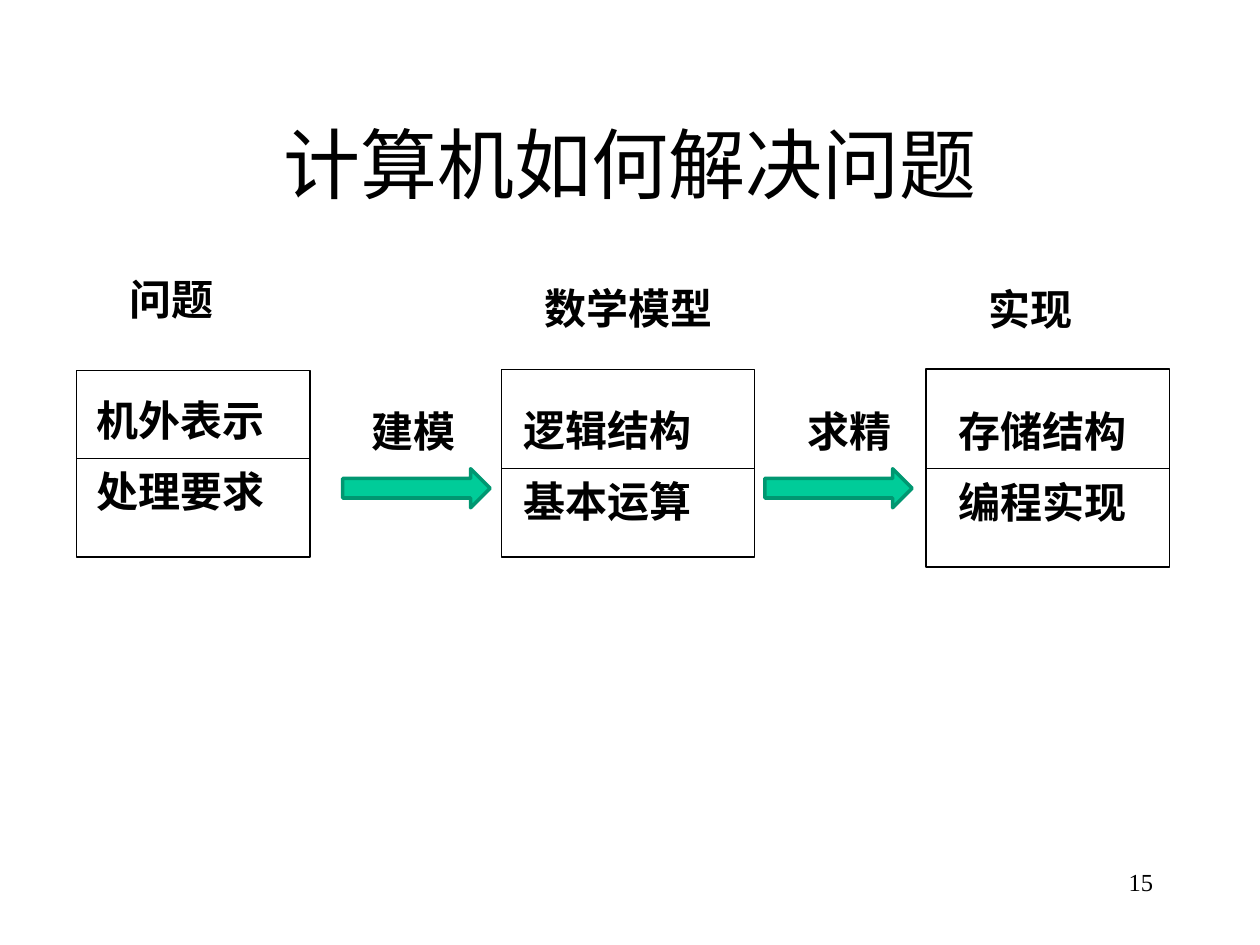
from pptx import Presentation
from pptx.dml.color import RGBColor
from pptx.enum.shapes import MSO_CONNECTOR as Connector, MSO_SHAPE as Shape
from pptx.enum.text import MSO_ANCHOR as Anchor, PP_ALIGN as Align
from pptx.oxml.ns import qn
from pptx.util import Inches, Pt

TITLE = "计算机如何解决问题"
PAGE_NUMBER = "15"
LATIN, CJK = "Times New Roman", "Noto Sans CJK SC"
BLACK, GREEN, DARK_GREEN = "000000", "00CC99", "009771"

STAGES = [
    {"heading": "问题", "heading_at": (0.93, 2.12), "lines": ["机外表示", "处理要求"],
     "lines_at": (0.67, 3.08), "frame": (0.61, 2.94, 1.85, 1.48), "divider": 3.64},
    {"heading": "数学模型", "heading_at": (4.22, 2.19), "lines": ["逻辑结构", "基本运算"],
     "lines_at": (4.06, 3.16), "frame": (3.98, 2.93, 2.01, 1.49), "divider": 3.72},
    {"heading": "实现", "heading_at": (7.75, 2.2), "lines": ["存储结构", "编程实现"],
     "lines_at": (7.51, 3.17), "frame": (7.35, 2.93, 1.93, 1.57), "divider": 3.72},
]
STEPS = [("建模", 2.85, 2.72), ("求精", 6.31, 6.07)]
STEP_TOP, ARROW_TOP, ARROW_SIZE = 3.17, 3.72, (1.17, 0.31)
LABEL_WIDTH, LINE_HEIGHT = 1.77, 0.5


def color(value):
    return RGBColor.from_string(value)


def inches(*values):
    return [Inches(value) for value in values]


def write(text_frame, lines, size, font=CJK, bold=False, align=Align.LEFT):
    text_frame.word_wrap = True
    text_frame.text = "\n".join(lines)
    for index, paragraph in enumerate(text_frame.paragraphs):
        paragraph.alignment = align
        if index:
            paragraph.space_before = Pt(size / 2)
        for run in paragraph.runs:
            run.font.size, run.font.bold, run.font.name = Pt(size), bold, font
            run.font.color.rgb = color(BLACK)
            east_asian = run.font._element.makeelement(qn("a:ea"), {"typeface": CJK})
            run.font._element.find(qn("a:latin")).addnext(east_asian)


def add_label(slide, lines, left, top):
    height = LINE_HEIGHT * len(lines)
    box = slide.shapes.add_textbox(*inches(left, top, LABEL_WIDTH, height))
    write(box.text_frame, lines, 24, bold=True)


def add_outlined(slide, kind, bounds, line, width, fill=None):
    shape = slide.shapes.add_shape(kind, *inches(*bounds))
    shape.shadow.inherit = False
    if fill:
        shape.fill.solid()
        shape.fill.fore_color.rgb = color(fill)
    else:
        shape.fill.background()
    shape.line.color.rgb, shape.line.width = color(line), Pt(width)


def add_stage(slide, stage):
    left, top, width, height = stage["frame"]
    add_label(slide, [stage["heading"]], *stage["heading_at"])
    add_label(slide, stage["lines"], *stage["lines_at"])
    add_outlined(slide, Shape.RECTANGLE, stage["frame"], BLACK, 0.75)
    ends = inches(left, stage["divider"], left + width, stage["divider"])
    divider = slide.shapes.add_connector(Connector.STRAIGHT, *ends)
    divider.line.color.rgb, divider.line.width = color(BLACK), Pt(0.75)
    properties = divider._element.spPr
    properties.append(properties.makeelement(qn("a:effectLst"), {}))


def main():
    """Build the slide that leads from problem to model to implementation."""
    presentation = Presentation()
    presentation.slide_width, presentation.slide_height = inches(10, 7.5)
    slide = presentation.slides.add_slide(presentation.slide_layouts[5])

    title = slide.shapes.title
    title.left, title.top, title.width, title.height = inches(0.75, 0.67, 8.5, 1.25)
    title.text_frame.vertical_anchor = Anchor.MIDDLE
    write(title.text_frame, [TITLE], 44, LATIN, align=Align.CENTER)

    number = slide.shapes.add_textbox(*inches(7.17, 6.83, 2.08, 0.5))
    write(number.text_frame, [PAGE_NUMBER], 14, LATIN, align=Align.RIGHT)

    for stage in STAGES:
        add_stage(slide, stage)
    for label, label_left, arrow_left in STEPS:
        add_label(slide, [label], label_left, STEP_TOP)
        add_outlined(slide, Shape.RIGHT_ARROW, (arrow_left, ARROW_TOP, *ARROW_SIZE),
                     DARK_GREEN, 2, GREEN)

    presentation.save("out.pptx")


if __name__ == "__main__":
    main()
